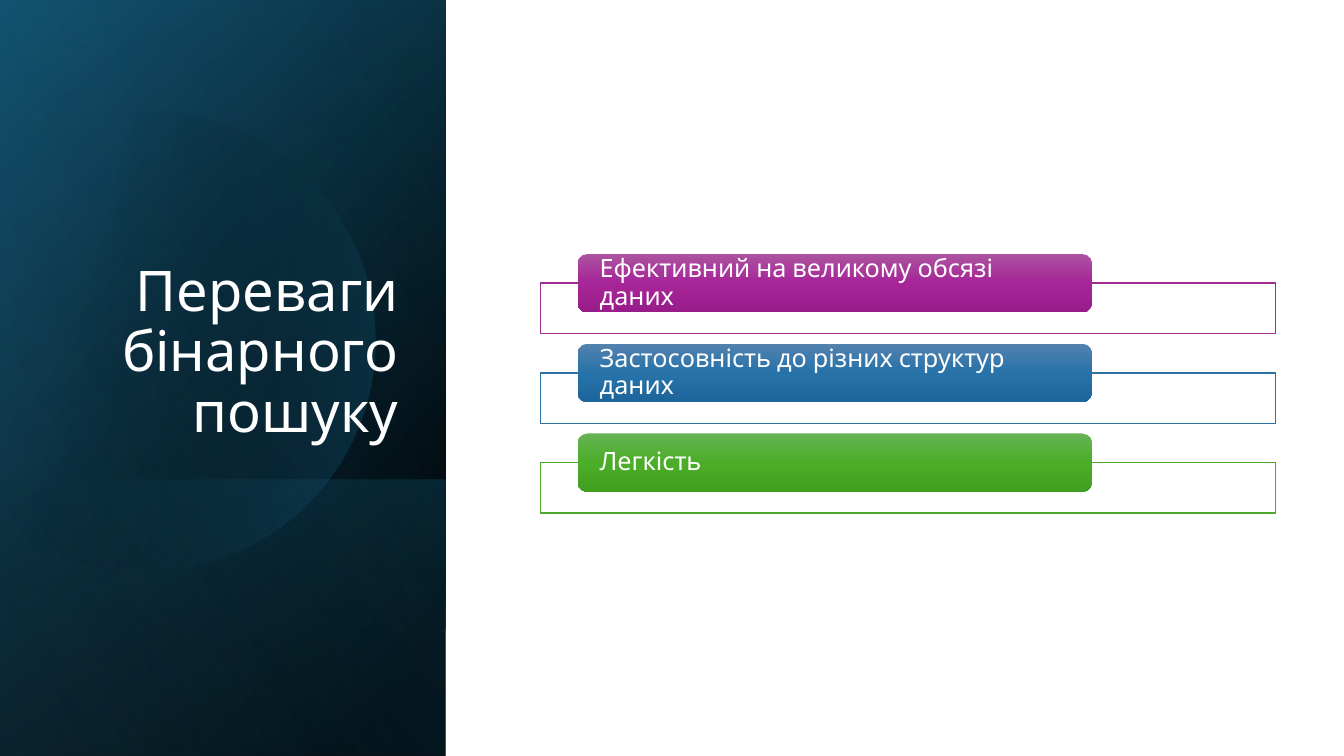
import math

import lxml.etree
import pptx
import pptx.dml.color
import pptx.enum.shapes
import pptx.enum.text
import pptx.oxml.ns
import pptx.util

THEME = {
    "font": "Karla", "title_size": 40, "label_size": 18,
    "white": "FFFFFF", "black": "000000", "teal": "156082",
    "deep_teal": "104862", "sky": "46B1E1",
}
INCH = pptx.util.Inches
RGB = pptx.dml.color.RGBColor.from_string
QN = pptx.oxml.ns.qn
SHAPES = pptx.enum.shapes.MSO_SHAPE
ANCHOR = pptx.enum.text.MSO_ANCHOR
WIDTH, HEIGHT = 13.33, 7.5


def paint(shape, stops, angle):
    """Gradient fill from (position %, colour, opacity %) stops; no line or shadow."""
    shape.shadow.inherit = False
    shape.line.fill.background()
    shape.fill.background()
    grad = lxml.etree.Element(QN("a:gradFill"), rotWithShape="1")
    stop_list = lxml.etree.SubElement(grad, QN("a:gsLst"))
    for position, colour, opacity in stops:
        stop = lxml.etree.SubElement(stop_list, QN("a:gs"), pos=str(position * 1000))
        tint = lxml.etree.SubElement(stop, QN("a:srgbClr"), val=colour)
        if opacity < 100:
            lxml.etree.SubElement(tint, QN("a:alpha"), val=str(opacity * 1000))
    lxml.etree.SubElement(grad, QN("a:lin"), ang=str(angle * 60000), scaled="0")
    properties = shape.element.spPr
    properties.replace(properties.find(QN("a:noFill")), grad)


def write(paragraph, text, size):
    paragraph.line_spacing = 0.9
    run = paragraph.add_run()
    run.text = text
    run.font.name = THEME["font"]
    run.font.size = pptx.util.Pt(size)
    run.font.color.rgb = RGB(THEME["white"])


deck = pptx.Presentation()
deck.slide_width, deck.slide_height = INCH(WIDTH), INCH(HEIGHT)
slide = deck.slides.add_slide(deck.slide_layouts[5])

# Side panel: layered gradients, the third one only along the foot
panel_width, foot_top = 4.42, 4.76
panel_layers = [
    (0, 220, [(8, THEME["black"], 100), (100, THEME["deep_teal"], 100)]),
    (0, 240, [(0, THEME["black"], 0), (99, THEME["teal"], 46)]),
    (foot_top, 140, [(2, THEME["teal"], 29), (100, THEME["black"], 30)]),
]
for top, angle, stops in panel_layers:
    layer = slide.shapes.add_shape(
        SHAPES.RECTANGLE, 0, INCH(top), INCH(panel_width), INCH(HEIGHT - top))
    paint(layer, stops, angle)

# Disc cut off by the left edge, measured in hundredths of an inch
centre_x, centre_y, radius, cut = 144, 338, 228, -15
cut_angle = math.acos((cut - centre_x) / radius)
turns = [-cut_angle, -math.pi / 2, 0, math.pi / 2, cut_angle]
rim = [(centre_x + radius * math.cos(turn), centre_y + radius * math.sin(turn))
       for turn in turns]
outline = slide.shapes.build_freeform(*rim[0], scale=INCH(0.01))
outline.add_line_segments(rim[1:], close=True)
disc = outline.convert_to_shape()

# Bend the straight sides of the disc into arcs
sides = list(disc.element.iter(QN("a:lnTo")))
for side, start, end in zip(sides, turns, turns[1:]):
    reach = 4 / 3 * math.tan((end - start) / 4)
    arc = lxml.etree.Element(QN("a:cubicBezTo"))
    for turn, pull in ((start, reach), (end, -reach), (end, 0)):
        x = centre_x - cut + radius * (math.cos(turn) - pull * math.sin(turn))
        y = radius + radius * (math.sin(turn) + pull * math.cos(turn))
        lxml.etree.SubElement(arc, QN("a:pt"), x=str(round(x)), y=str(round(y)))
    side.getparent().replace(side, arc)
paint(disc, [(29, THEME["black"], 0), (100, THEME["teal"], 43)], 14)

# Sheen over the whole panel
sheen = slide.shapes.add_shape(
    SHAPES.RECTANGLE, 0, 0, INCH(panel_width), INCH(HEIGHT))
paint(sheen, [(0, THEME["black"], 0), (99, THEME["sky"], 11)], 150)

# Title, brought in front of the panel
title = slide.shapes.title
title.left, title.top = INCH(0.64), INCH(1.84)
title.width, title.height = INCH(3.41), INCH(2.62)
title.element.getparent().append(title.element)
title.text_frame.word_wrap = True
title.text_frame.auto_size = pptx.enum.text.MSO_AUTO_SIZE.NONE
title.text_frame.vertical_anchor = ANCHOR.BOTTOM
heading = title.text_frame.paragraphs[0]
heading.alignment = pptx.enum.text.PP_ALIGN.RIGHT
write(heading, "Переваги бінарного пошуку", THEME["title_size"])

# Advantages: an outlined bar with a label overlapping its upper edge
advantages = [
    ("Ефективний на великому обсязі даних", "A02B93", ("AC53A0", "A62598", "991C8B")),
    ("Застосовність до різних структур даних", "2C71A4", ("5382AF", "2772A9", "1D669C")),
    ("Легкість", "4EA72E", ("66B354", "4BAD28", "409F1E")),
]
first_label_top, row_pitch, bar_drop = 2.52, 0.89, 0.29
for row, (advantage, edge, shades) in enumerate(advantages):
    label_top = first_label_top + row * row_pitch
    bar = slide.shapes.add_shape(
        SHAPES.RECTANGLE, INCH(5.36), INCH(label_top + bar_drop), INCH(7.29), INCH(0.5))
    bar.shadow.inherit = False
    bar.fill.solid()
    bar.fill.fore_color.rgb = RGB(THEME["white"])
    bar.line.color.rgb = RGB(edge)
    bar.line.width = pptx.util.Pt(1)

    label = slide.shapes.add_shape(
        SHAPES.ROUNDED_RECTANGLE, INCH(5.73), INCH(label_top), INCH(5.1), INCH(0.58))
    paint(label, [(step * 50, shade, 100) for step, shade in enumerate(shades)], 90)
    frame = label.text_frame
    frame.word_wrap = True
    frame.vertical_anchor = ANCHOR.MIDDLE
    frame.margin_left = frame.margin_right = INCH(0.19)
    frame.margin_top = frame.margin_bottom = 0
    frame.paragraphs[0].alignment = pptx.enum.text.PP_ALIGN.LEFT
    write(frame.paragraphs[0], advantage, THEME["label_size"])

deck.save("out.pptx")
